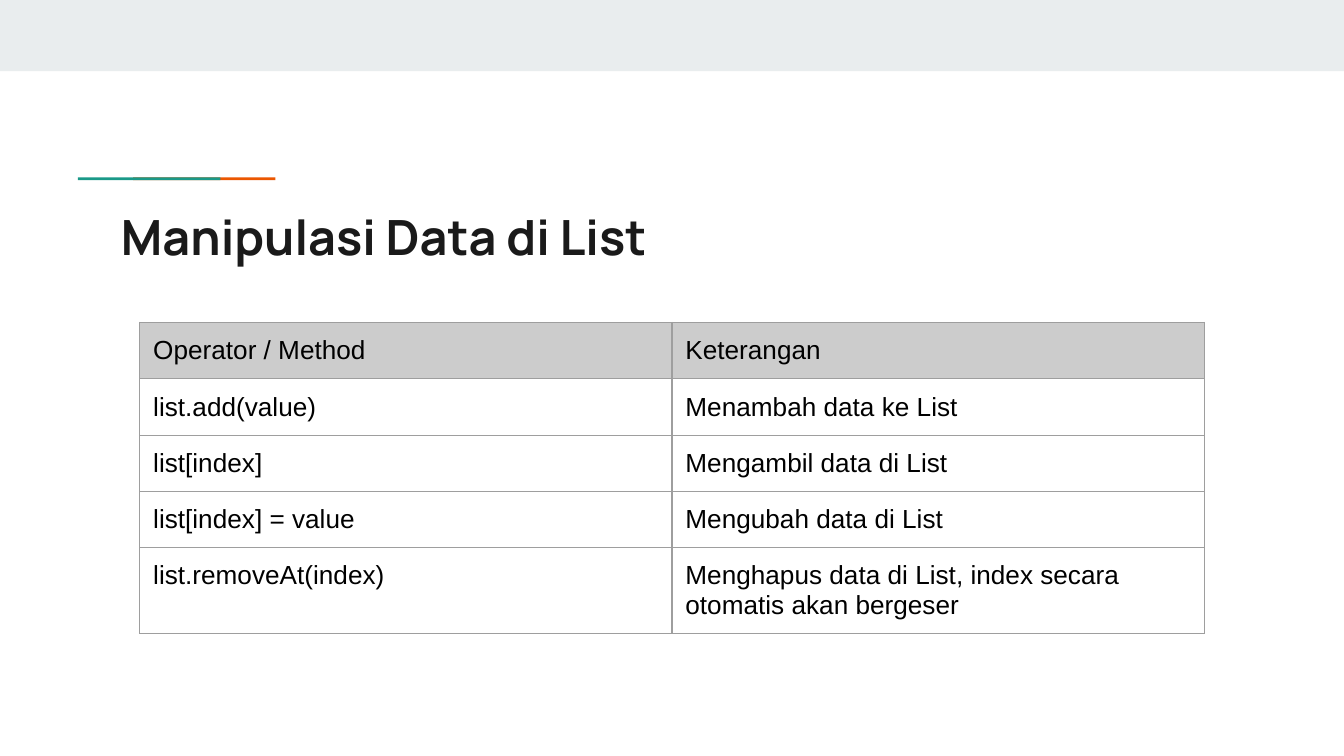
"""Build the slide that lists operators and methods for manipulating list data."""
from dataclasses import dataclass

import pptx
import pptx.dml.color
import pptx.enum.shapes
import pptx.enum.text
import pptx.oxml
import pptx.oxml.ns
import pptx.presentation
import pptx.slide
import pptx.table
import pptx.text.text
import pptx.util
from pptx.util import Inches


@dataclass(frozen=True)
class Theme:
    band: str = "E9EDEE"
    orange: str = "EB5600"
    teal: str = "1A9988"
    title: str = "1A1A1A"
    text: str = "000000"
    header: str = "CCCCCC"
    border: str = "9E9E9E"
    title_font: str = "Manrope"
    body_font: str = "Arial"
    title_size: int = 26
    body_size: int = 14
    border_width: float = 0.75
    inset: float = 0.1


@dataclass(frozen=True)
class Bar:
    left: float
    top: float
    width: float
    height: float
    color: str


@dataclass(frozen=True)
class Operation:
    method: str
    description: str


THEME = Theme()
SLIDE_WIDTH = 10
SLIDE_HEIGHT = SLIDE_WIDTH * 9 / 16
BARS = (
    Bar(0, 0, SLIDE_WIDTH, 0.53, THEME.band),
    Bar(0.99, 1.32, 1.06, 0.02, THEME.orange),
    Bar(0.58, 1.32, 1.06, 0.02, THEME.teal),
)
OPERATIONS = (
    Operation("Operator / Method", "Keterangan"),
    Operation("list.add(value)", "Menambah data ke List"),
    Operation("list[index]", "Mengambil data di List"),
    Operation("list[index] = value", "Mengubah data di List"),
    Operation("list.removeAt(index)",
              "Menghapus data di List, index secara otomatis akan bergeser"),
)
COLUMN_WIDTH = 3.96
ROW_HEIGHT = 5 / 12


def rgb(color: str) -> pptx.dml.color.RGBColor:
    return pptx.dml.color.RGBColor.from_string(color)


def add_run(paragraph: pptx.text.text._Paragraph, text: str, font_name: str,
            size: int, color: str, bold: bool = False) -> None:
    run = paragraph.add_run()
    run.text = text
    run.font.name = font_name
    run.font.size = pptx.util.Pt(size)
    run.font.bold = bold
    run.font.color.rgb = rgb(color)


def draw_bar(slide: pptx.slide.Slide, bar: Bar) -> None:
    shape = slide.shapes.add_shape(
        pptx.enum.shapes.MSO_SHAPE.RECTANGLE, Inches(bar.left), Inches(bar.top),
        Inches(bar.width), Inches(bar.height))
    shape.shadow.inherit = False
    shape.fill.solid()
    shape.fill.fore_color.rgb = rgb(bar.color)
    shape.line.fill.background()


def draw_title(slide: pptx.slide.Slide, text: str) -> None:
    title = slide.shapes.title
    title.left, title.top = Inches(0.8), Inches(1.44)
    title.width, title.height = Inches(8.41), Inches(0.59)
    frame = title.text_frame
    frame.word_wrap = True
    frame.auto_size = pptx.enum.text.MSO_AUTO_SIZE.NONE
    frame.vertical_anchor = pptx.enum.text.MSO_ANCHOR.TOP
    frame.margin_left = frame.margin_right = Inches(THEME.inset)
    frame.margin_top = frame.margin_bottom = Inches(THEME.inset)
    paragraph = frame.paragraphs[0]
    paragraph.alignment = pptx.enum.text.PP_ALIGN.LEFT
    add_run(paragraph, text, THEME.title_font, THEME.title_size, THEME.title, True)


def add_borders(cell: pptx.table._Cell) -> None:
    properties = cell._tc.get_or_add_tcPr()
    width = pptx.util.Pt(THEME.border_width)
    for side in ("lnL", "lnR", "lnT", "lnB"):
        properties.append(pptx.oxml.parse_xml(
            f'<a:{side} {pptx.oxml.ns.nsdecls("a")} w="{width}"><a:solidFill>'
            f'<a:srgbClr val="{THEME.border}"/></a:solidFill></a:{side}>'))


def draw_cell(cell: pptx.table._Cell, text: str, is_header: bool) -> None:
    cell.margin_left = cell.margin_right = Inches(THEME.inset)
    cell.margin_top = cell.margin_bottom = Inches(THEME.inset)
    add_borders(cell)
    if is_header:
        cell.fill.solid()
        cell.fill.fore_color.rgb = rgb(THEME.header)
    else:
        cell.fill.background()
    add_run(cell.text_frame.paragraphs[0], text, THEME.body_font,
            THEME.body_size, THEME.text)


def draw_table(slide: pptx.slide.Slide, operations: tuple[Operation, ...]) -> None:
    table = slide.shapes.add_table(
        len(operations), 2, Inches(1.04), Inches(2.4),
        Inches(2 * COLUMN_WIDTH), Inches(ROW_HEIGHT * len(operations))).table
    table.first_row = False
    table.horz_banding = False
    for row, operation in enumerate(operations):
        draw_cell(table.cell(row, 0), operation.method, row == 0)
        draw_cell(table.cell(row, 1), operation.description, row == 0)


def main() -> None:
    presentation = pptx.Presentation()
    presentation.slide_width = Inches(SLIDE_WIDTH)
    presentation.slide_height = Inches(SLIDE_HEIGHT)
    slide = presentation.slides.add_slide(presentation.slide_layouts[5])
    for bar in BARS:
        draw_bar(slide, bar)
    draw_title(slide, "Manipulasi Data di List")
    draw_table(slide, OPERATIONS)
    presentation.save("out.pptx")


if __name__ == "__main__":
    main()
